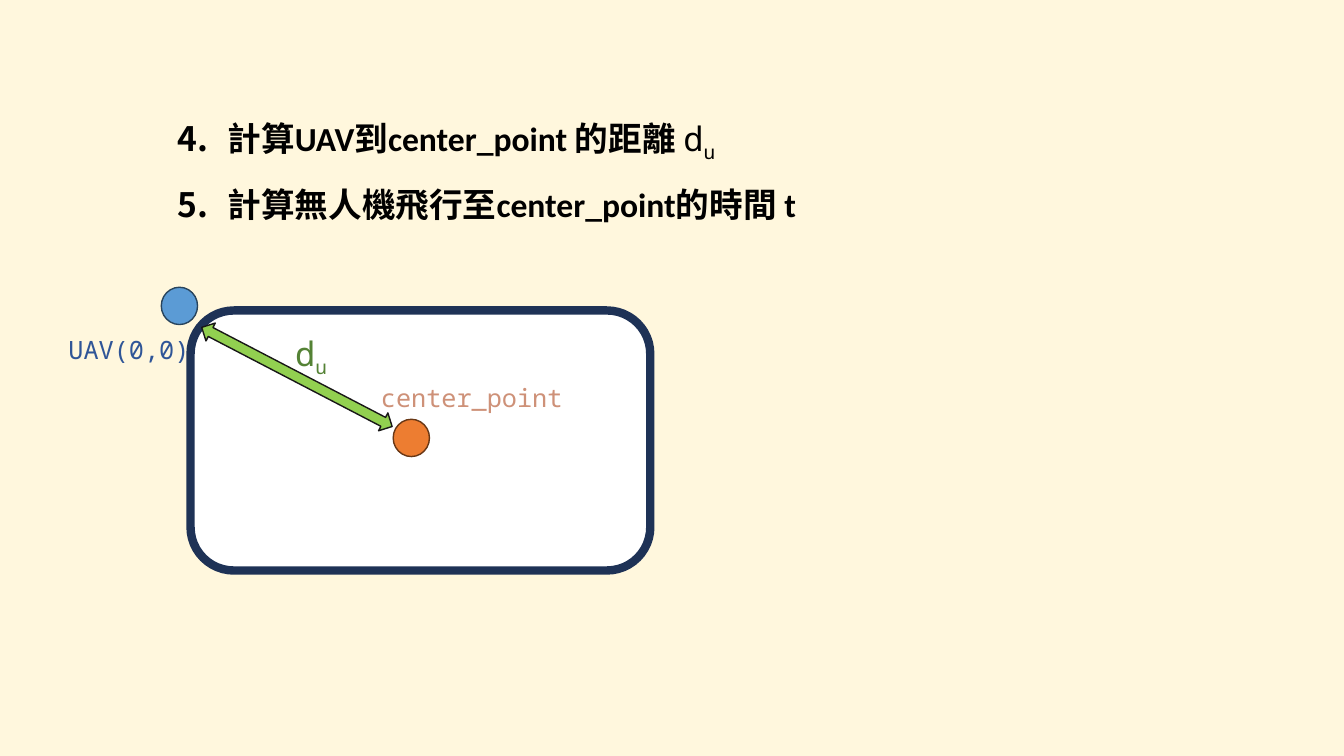
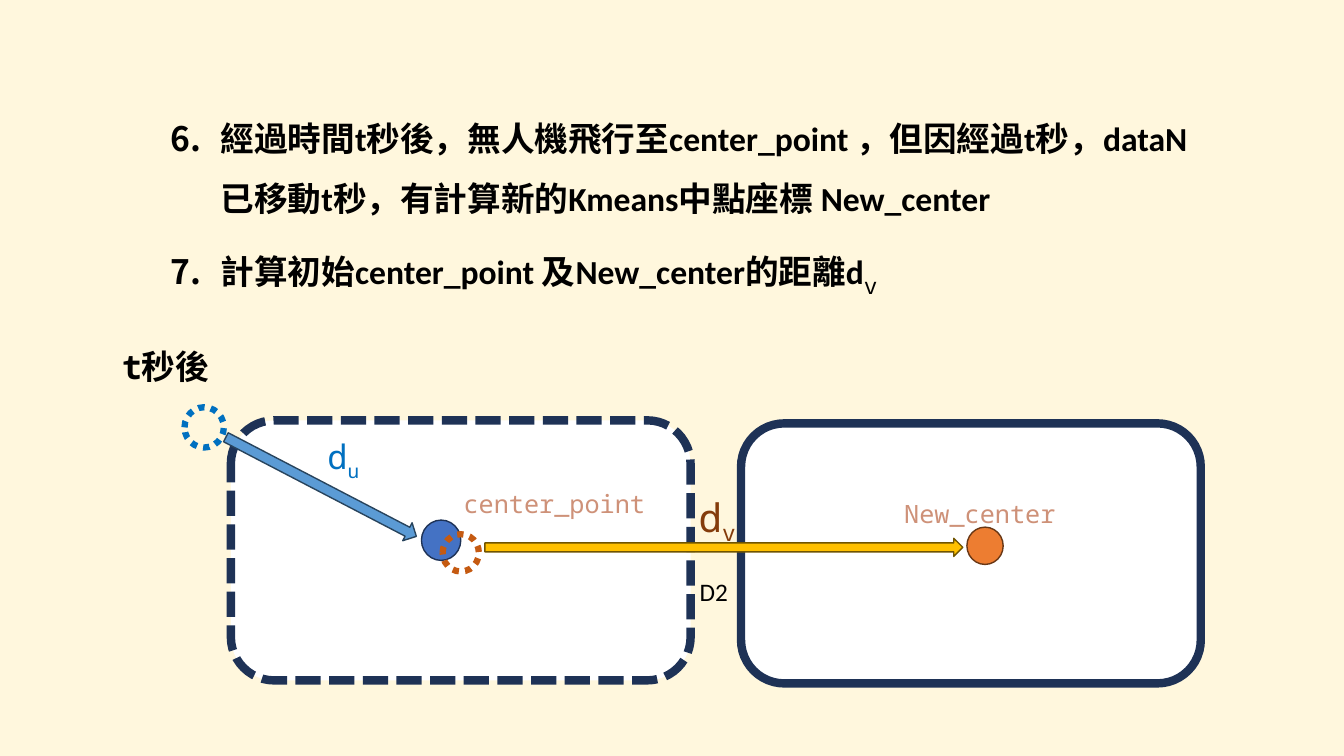
from dataclasses import dataclass
from typing import Optional, Sequence, Union

from lxml.etree import SubElement
from pptx import Presentation
from pptx.dml.color import RGBColor
from pptx.enum.dml import MSO_LINE
from pptx.enum.shapes import MSO_SHAPE
from pptx.enum.text import MSO_AUTO_SIZE
from pptx.oxml.ns import qn
from pptx.slide import Slide
from pptx.util import Inches, Pt


# Colours, fonts and sizes
@dataclass(frozen=True)
class Theme:
    background: str = "FFF7DD"
    white: str = "FFFFFF"
    black: str = "000000"
    navy: str = "1E3256"
    orange: str = "ED7D31"
    orange_edge: str = "683715"
    blue: str = "5B9BD5"
    blue_edge: str = "28445D"
    arrival_blue: str = "4472C4"
    trace_blue: str = "0070C0"
    trace_orange: str = "C55A11"
    green: str = "92D050"
    green_edge: str = "181717"
    gold: str = "FFC000"
    gold_edge: str = "705400"
    point_text: str = "CE9178"
    uav_text: str = "2F5597"
    green_text: str = "548235"
    brown_text: str = "843C0B"
    body_font: str = "Calibri"
    mono_font: str = "Noto Sans Mono"
    label_size: int = 18
    body_size: int = 24
    large_size: int = 28


THEME = Theme()


# Parts of the diagrams; positions and sizes are in inches
@dataclass(frozen=True)
class Figure:
    preset: MSO_SHAPE
    left: float
    top: float
    width: float
    height: float
    fill: Optional[str]
    line: str
    line_width: float = 1
    dash: Optional[MSO_LINE] = None
    rotation: float = 0


@dataclass(frozen=True)
class Piece:
    text: str
    font: str = THEME.mono_font
    size: int = THEME.label_size
    color: str = THEME.black
    bold: bool = False
    subscript: bool = False


@dataclass(frozen=True)
class Label:
    left: float
    top: float
    width: float
    height: float
    paragraphs: Sequence[Sequence[Piece]]
    start: Optional[int] = None
    wrap: bool = True


Item = Union[Figure, Label]


def area(left: float, top: float, dash: Optional[MSO_LINE] = None) -> Figure:
    return Figure(MSO_SHAPE.ROUNDED_RECTANGLE, left, top, 4.56, 2.58,
                  THEME.white, THEME.navy, 6, dash)


def point(left: float, top: float, fill: str, line: str, width: float = 0.36) -> Figure:
    return Figure(MSO_SHAPE.OVAL, left, top, width, width + 0.01, fill, line)


def trace(left: float, top: float, line: str, width: float = 0.36) -> Figure:
    return Figure(MSO_SHAPE.OVAL, left, top, width, width + 0.01, None, line,
                  4.5, MSO_LINE.ROUND_DOT)


def flight(preset: MSO_SHAPE, left: float, top: float, fill: str, line: str) -> Figure:
    return Figure(preset, left, top, 2.13, 0.2, fill, line, rotation=27.5)


def name_label(text: str, left: float, top: float, width: float = 2.16,
               color: str = THEME.point_text) -> Label:
    return Label(left, top, width, 0.4, [[Piece(text, color=color)]])


def distance_label(index: str, left: float, top: float, width: float, height: float,
                   color: str, size: int = THEME.body_size) -> Label:
    return Label(left, top, width, height, [[
        Piece("d", size=size, color=color),
        Piece(index, size=size, color=color, subscript=True)]])


def step(text: str) -> Piece:
    return Piece(text, THEME.body_font, THEME.body_size, bold=True)


# Drawing
def add_text(paragraph, text: str, *, font: str, size: int, color: str,
             bold: bool = False, subscript: bool = False) -> None:
    run = paragraph.add_run()
    run.text = text
    run.font.name = font
    run.font.size = Pt(size)
    run.font.bold = bold
    run.font.color.rgb = RGBColor.from_string(color)
    if subscript:
        run._r.get_or_add_rPr().set("baseline", "-25000")


def number_paragraph(paragraph, start: int) -> None:
    paragraph.line_spacing = 1.5
    properties = paragraph._p.get_or_add_pPr()
    properties.set("marL", str(Inches(0.5)))
    properties.set("indent", str(Inches(-0.5)))
    SubElement(properties, qn("a:buFont"), typeface="+mj-lt")
    SubElement(properties, qn("a:buAutoNum"), type="arabicPeriod", startAt=str(start))


def draw_label(slide: Slide, label: Label) -> None:
    box = slide.shapes.add_textbox(Inches(label.left), Inches(label.top),
                                   Inches(label.width), Inches(label.height))
    frame = box.text_frame
    frame.word_wrap = label.wrap
    frame.auto_size = MSO_AUTO_SIZE.SHAPE_TO_FIT_TEXT
    for index, pieces in enumerate(label.paragraphs):
        paragraph = frame.add_paragraph() if index else frame.paragraphs[0]
        if label.start is not None:
            number_paragraph(paragraph, label.start)
        for piece in pieces:
            add_text(paragraph, piece.text, font=piece.font, size=piece.size,
                     color=piece.color, bold=piece.bold, subscript=piece.subscript)


def draw_figure(slide: Slide, figure: Figure) -> None:
    shape = slide.shapes.add_shape(figure.preset, Inches(figure.left), Inches(figure.top),
                                   Inches(figure.width), Inches(figure.height))
    shape.shadow.inherit = False
    shape.rotation = figure.rotation
    if figure.fill is None:
        shape.fill.background()
    else:
        shape.fill.solid()
        shape.fill.fore_color.rgb = RGBColor.from_string(figure.fill)
    shape.line.color.rgb = RGBColor.from_string(figure.line)
    shape.line.width = Pt(figure.line_width)
    if figure.dash is not None:
        shape.line.dash_style = figure.dash


def build_slide(presentation, items: Sequence[Item]) -> None:
    slide = presentation.slides.add_slide(presentation.slide_layouts[6])
    slide.background.fill.solid()
    slide.background.fill.fore_color.rgb = RGBColor.from_string(THEME.background)
    for item in items:
        if isinstance(item, Figure):
            draw_figure(slide, item)
        else:
            draw_label(slide, item)


# Steps 4 and 5: distance from the UAV to the center point
DISTANCE_SLIDE: Sequence[Item] = [
    area(1.89, 3.08),
    name_label("center_point", 3.68, 3.74),
    name_label("UAV(0,0)", 0.58, 3.27, 1.72, THEME.uav_text),
    flight(MSO_SHAPE.LEFT_RIGHT_ARROW, 1.88, 3.64, THEME.green, THEME.green_edge),
    Label(1.66, 0.89, 6.67, 1.86, [
        [step("計算UAV到center_point 的距離 "),
         Piece("d", size=THEME.body_size),
         Piece("u", size=THEME.body_size, subscript=True)],
        [step("計算無人機飛行至center_point的時間 t")],
    ], start=4),
    distance_label("u", 2.83, 3.25, 0.94, 0.5, THEME.green_text),
    point(3.9, 4.16, THEME.orange, THEME.orange_edge),
    point(1.6, 2.85, THEME.blue, THEME.blue_edge),
]

# Steps 6 and 7: the center has moved after t seconds
NEW_CENTER_SLIDE: Sequence[Item] = [
    Label(1.11, 3.38, 1.72, 0.5, [[Piece("t秒後", size=THEME.body_size, bold=True)]]),
    area(7.35, 4.2),
    area(2.29, 4.17, MSO_LINE.SQUARE_DOT),
    point(4.18, 5.16, THEME.arrival_blue, THEME.navy, 0.39),
    point(9.59, 5.23, THEME.orange, THEME.orange_edge),
    name_label("New_center", 8.87, 4.89),
    flight(MSO_SHAPE.RIGHT_ARROW, 2.12, 4.73, THEME.blue, THEME.blue_edge),
    trace(1.83, 4.04, THEME.trace_blue, 0.39),
    distance_label("u", 3.15, 4.28, 0.94, 0.5, THEME.trace_blue),
    trace(4.39, 5.3, THEME.trace_orange),
    Figure(MSO_SHAPE.RIGHT_ARROW, 4.81, 5.34, 4.74, 0.18, THEME.gold, THEME.gold_edge),
    name_label("center_point", 4.5, 4.8),
    Label(1.59, 0.92, 10.33, 2.46, [
        [step("經過時間t秒後，無人機飛行至center_point ，但因經過t秒，"
              "dataN已移動t秒，有計算新的Kmeans中點座標 New_center")],
        [step("計算初始center_point 及New_center的距離d"),
         Piece("v", size=THEME.large_size, subscript=True)],
    ], start=6),
    distance_label("v", 6.83, 4.84, 1.07, 0.57, THEME.brown_text, THEME.large_size),
    Label(6.84, 5.67, 0.49, 0.4, [[Piece("D2", THEME.body_font)]], wrap=False),
]


def main() -> None:
    presentation = Presentation()
    presentation.slide_width = Inches(13.33)
    presentation.slide_height = Inches(7.5)
    for items in (DISTANCE_SLIDE, NEW_CENTER_SLIDE):
        build_slide(presentation, items)
    presentation.save("out.pptx")


main()
